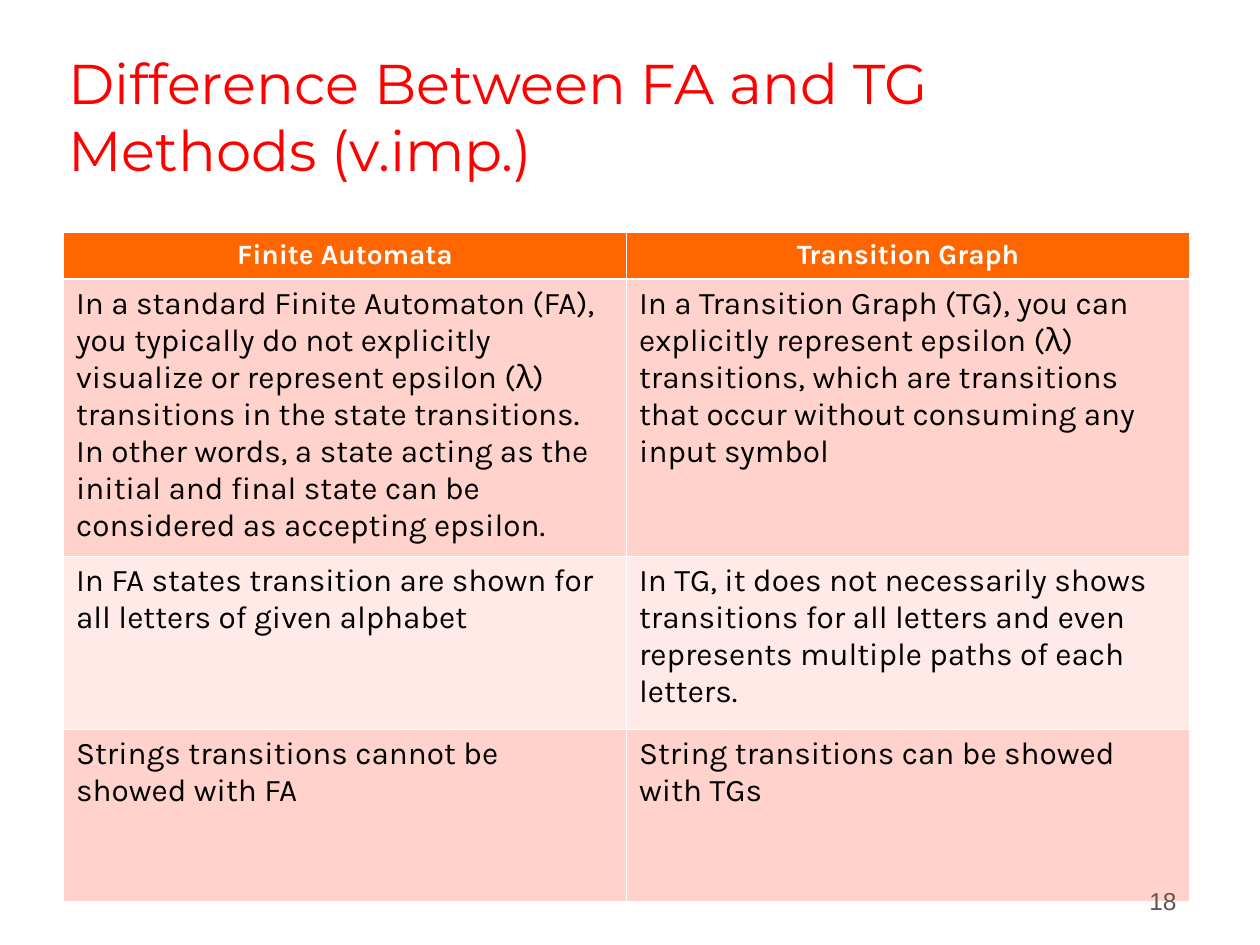
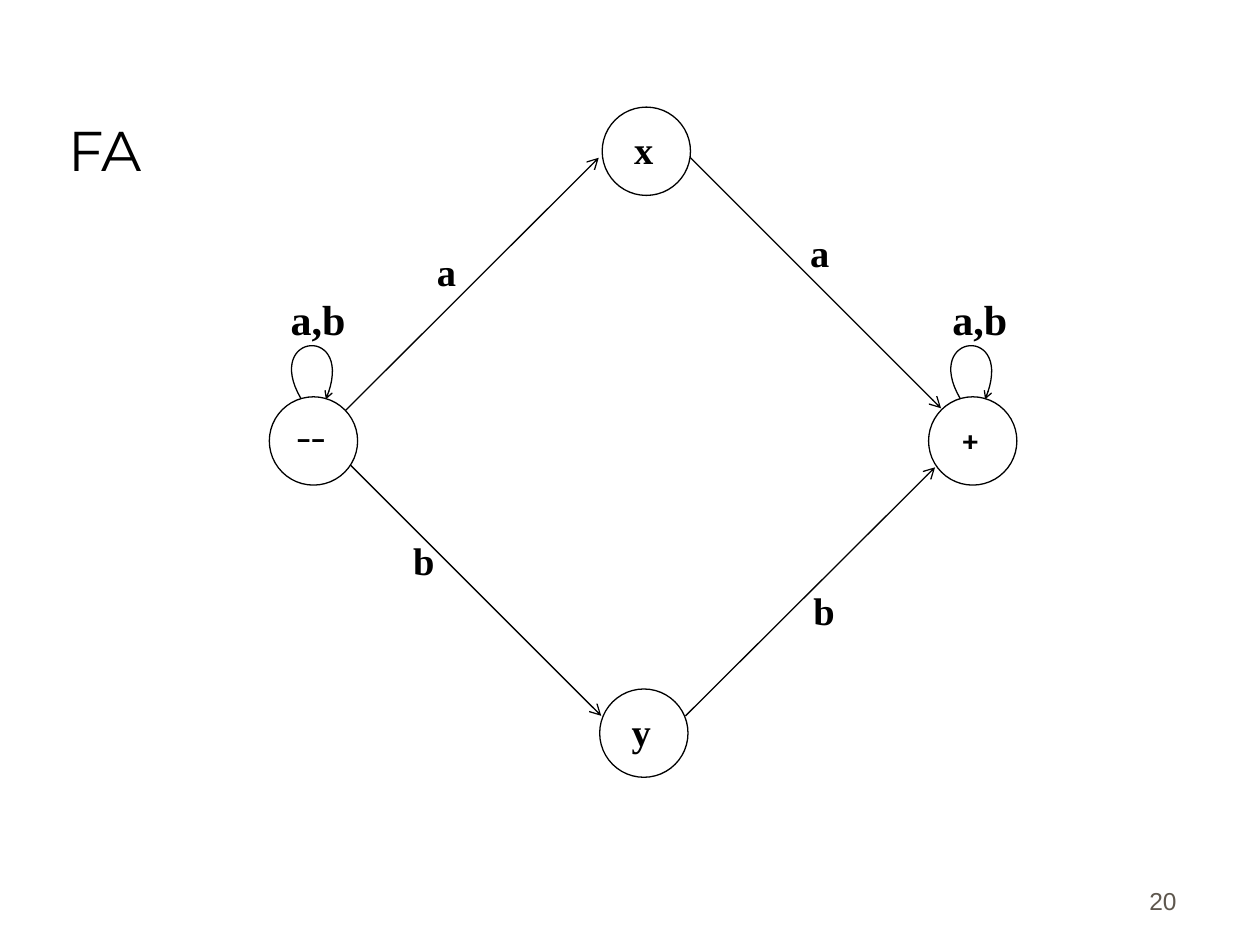
from dataclasses import dataclass
from typing import Any, NamedTuple

from lxml import etree
from pptx import Presentation
from pptx import util as u
from pptx.dml import color
from pptx.enum import shapes, text
from pptx.oxml import ns

Point = tuple[float, float]


@dataclass(frozen=True)
class Theme:
    red: str = "FF0000"
    black: str = "000000"
    white: str = "FFFFFF"
    grey: str = "5E574E"
    head: str = "FF6600"
    bands: tuple[str, str] = ("FFD3CB", "FFEAE7")
    title: tuple[str, float] = ("Montserrat", 32)
    header: tuple[str, float] = ("Karla", 16)
    body: tuple[str, float] = ("Karla", 18)
    page: tuple[str, float] = ("Arial", 14)
    letter: tuple[str, float] = ("Times New Roman", 22)
    loop: tuple[str, float] = ("Times New Roman", 24)
    sign: tuple[str, float] = ("Karla", 16)
    line: float = 0.75
    thin: float = 0.45
    thick: float = 1.47


class State(NamedTuple):
    name: str
    x: float
    y: float
    face: tuple[str, float]
    loops: bool = False


class Edge(NamedTuple):
    start: Point
    end: Point


class Label(NamedTuple):
    name: str
    x: float
    y: float
    face: tuple[str, float]
    wide: float = 2.5


THEME = Theme()
RADIUS = 0.89
LOOP = ((-0.25, -0.85), (-1.04, -2.2), (0.89, -2.36), (0.25, -0.84))
STEPS = 32

HEADS = ("Finite Automata", "Transition Graph")
ROWS = (
    ("In a standard Finite Automaton (FA), you typically do not explicitly "
     "visualize or represent epsilon (λ) transitions in the state transitions. "
     "In other words, a state acting as the initial and final state can be "
     "considered as accepting epsilon.",
     "In a Transition Graph (TG), you can explicitly represent epsilon (λ) "
     "transitions, which are transitions that occur without consuming any "
     "input symbol"),
    ("In FA states transition are shown for all letters of given alphabet",
     "In TG, it does not necessarily shows transitions for all letters and "
     "even represents multiple paths of each letters."),
    ("Strings transitions cannot be showed with FA",
     "String transitions can be showed with TGs"),
)
HEIGHTS = (0.94, 5.59, 3.48, 3.48)
COLUMN = 11.35

STATES = (
    State("––", 6.32, 8.89, THEME.sign, True),
    State("+", 19.61, 8.89, THEME.sign, True),
    State("x", 13.03, 3.05, THEME.letter),
    State("y", 12.98, 14.78, THEME.letter),
)
EDGES = (
    Edge((6.88, 8.36), (12.07, 3.18)),
    Edge((13.89, 3.15), (18.97, 8.23)),
    Edge((7.04, 9.35), (12.12, 14.43)),
    Edge((13.82, 14.43), (18.85, 9.42)),
)
LABELS = (
    Label("a", 8.56, 4.88, THEME.letter),
    Label("a", 16.08, 4.5, THEME.letter),
    Label("b", 8.08, 10.7, THEME.letter, 1.65),
    Label("b", 16.15, 11.7, THEME.letter, 1.65),
    Label("a,b", 5.61, 5.8, THEME.loop, 1.8),
    Label("a,b", 18.95, 5.8, THEME.loop, 1.8),
)


def rgb(tint: str) -> color.RGBColor:
    return color.RGBColor.from_string(tint)


def style(item: Any, values: dict[str, Any]) -> None:
    for key, value in values.items():
        setattr(item, key, value)


def write(frame: Any, words: str, face: tuple[str, float], tint: str,
          bold: bool = False, align: Any = text.PP_ALIGN.LEFT) -> Any:
    """Fill a text frame with one formatted paragraph and return it."""
    line = frame.paragraphs[0]
    line.alignment = align
    run = line.add_run()
    run.text = words
    style(run.font, {"name": face[0], "size": u.Pt(face[1]), "bold": bold})
    run.font.color.rgb = rgb(tint)
    return line


def place(shape: Any, x: float, y: float, wide: float, high: float) -> None:
    style(shape, {"left": u.Cm(x), "top": u.Cm(y),
                  "width": u.Cm(wide), "height": u.Cm(high)})


def start_slide(deck: Any, title: str, tint: str, page: str) -> Any:
    slide = deck.slides.add_slide(deck.slide_layouts[5])
    head = slide.shapes.title
    place(head, 1.12, 0.64, 21.59, 3.18)
    style(head.text_frame, {"vertical_anchor": text.MSO_ANCHOR.BOTTOM,
                            "auto_size": text.MSO_AUTO_SIZE.NONE,
                            "word_wrap": True})
    write(head.text_frame, title, THEME.title, tint)
    return slide


def add_page(slide: Any, page: str) -> None:
    box = slide.shapes.add_textbox(u.Cm(18.69), u.Cm(17.3), u.Cm(5.28), u.Cm(1.27))
    style(box.text_frame, {"vertical_anchor": text.MSO_ANCHOR.BOTTOM,
                           "word_wrap": True})
    line = write(box.text_frame, page, THEME.page, THEME.grey,
                 align=text.PP_ALIGN.RIGHT)
    line.space_before = u.Pt(8.8)


def add_borders(cell: Any, widths: dict[str, float]) -> None:
    props = cell._tc.get_or_add_tcPr()
    for side, width in widths.items():
        line = etree.SubElement(props, ns.qn(f"a:ln{side}"), w=str(u.Pt(width)))
        fill = etree.SubElement(line, ns.qn("a:solidFill"))
        etree.SubElement(fill, ns.qn("a:srgbClr"), val=THEME.white)


def add_grid(slide: Any) -> None:
    grid = slide.shapes.add_table(
        len(HEIGHTS), len(HEADS), u.Cm(1.28), u.Cm(4.69),
        u.Cm(COLUMN * len(HEADS)), u.Cm(sum(HEIGHTS))).table
    grid.horz_banding = False
    for column in grid.columns:
        column.width = u.Cm(COLUMN)
    for r, (high, words) in enumerate(zip(HEIGHTS, (HEADS, *ROWS))):
        grid.rows[r].height = u.Cm(high)
        top = r == 0
        sides = {"L": THEME.thin, "R": THEME.thin,
                 "T": THEME.thick if r == 1 else THEME.thin,
                 "B": THEME.thick if top else THEME.thin}
        for c, word in enumerate(words):
            cell = grid.cell(r, c)
            add_borders(cell, sides)
            cell.fill.solid()
            cell.fill.fore_color.rgb = rgb(THEME.head if top else THEME.bands[(r - 1) % 2])
            if top:
                write(cell.text_frame, word, THEME.header, THEME.white, True,
                      text.PP_ALIGN.CENTER)
            else:
                write(cell.text_frame, word, THEME.body, THEME.black)


def ink(shape: Any, arrow: str = "") -> None:
    """Draw a thin black line, with an arrowhead of the given size if any."""
    shape.line.color.rgb = rgb(THEME.black)
    shape.line.width = u.Pt(THEME.line)
    if arrow:
        line = shape.element.spPr.find(ns.qn("a:ln"))
        etree.SubElement(line, ns.qn("a:tailEnd"), type="arrow", w=arrow, len=arrow)


def add_edge(slide: Any, edge: Edge) -> None:
    ends = [u.Cm(v) for v in (*edge.start, *edge.end)]
    link = slide.shapes.add_connector(shapes.MSO_CONNECTOR.STRAIGHT, *ends)
    ink(link, "med")
    etree.SubElement(link.element.spPr, ns.qn("a:effectLst"))


def curve(t: float) -> Point:
    """Give the point of the cubic loop at t, from 0 to 1."""
    parts = ((1 - t) ** 3, 3 * t * (1 - t) ** 2, 3 * t * t * (1 - t), t ** 3)
    x, y = (sum(p * spot[axis] for p, spot in zip(parts, LOOP)) for axis in (0, 1))
    return x, y


def add_loop(slide: Any, state: State) -> None:
    spots = [(u.Cm(state.x + x), u.Cm(state.y + y))
             for x, y in (curve(n / STEPS) for n in range(STEPS + 1))]
    path = slide.shapes.build_freeform(*spots[0])
    path.add_line_segments(spots[1:], close=False)
    loop = path.convert_to_shape()
    loop.shadow.inherit = False
    loop.fill.background()
    ink(loop, "sm")


def add_state(slide: Any, state: State) -> None:
    ring = slide.shapes.add_shape(
        shapes.MSO_SHAPE.OVAL, u.Cm(state.x - RADIUS), u.Cm(state.y - RADIUS),
        u.Cm(2 * RADIUS), u.Cm(2 * RADIUS))
    ring.shadow.inherit = False
    ring.fill.solid()
    ring.fill.fore_color.rgb = rgb(THEME.white)
    ink(ring)
    style(ring.text_frame, {"margin_left": 0, "margin_top": 0, "margin_bottom": u.Cm(0.1),
                            "margin_right": u.Cm(0.1), "word_wrap": True,
                            "vertical_anchor": text.MSO_ANCHOR.MIDDLE})
    write(ring.text_frame, state.name, state.face, THEME.black, True,
          text.PP_ALIGN.CENTER)
    if state.loops:
        add_loop(slide, state)


def add_label(slide: Any, label: Label) -> None:
    box = slide.shapes.add_textbox(u.Cm(label.x), u.Cm(label.y),
                                   u.Cm(label.wide), u.Cm(1.3))
    box.text_frame.word_wrap = True
    write(box.text_frame, label.name, label.face, THEME.black, True)


def main() -> None:
    deck = Presentation()
    style(deck, {"slide_width": u.Cm(25.4), "slide_height": u.Cm(19.05)})

    page = "18"
    slide = start_slide(deck, "Difference Between FA and TG Methods (v.imp.)",
                        THEME.red, page)
    add_grid(slide)
    add_page(slide, page)

    page = "20"
    slide = start_slide(deck, "FA", THEME.black, page)
    for edge in EDGES:
        add_edge(slide, edge)
    for state in STATES:
        add_state(slide, state)
    for label in LABELS:
        add_label(slide, label)
    add_page(slide, page)

    deck.save("out.pptx")


if __name__ == "__main__":
    main()
